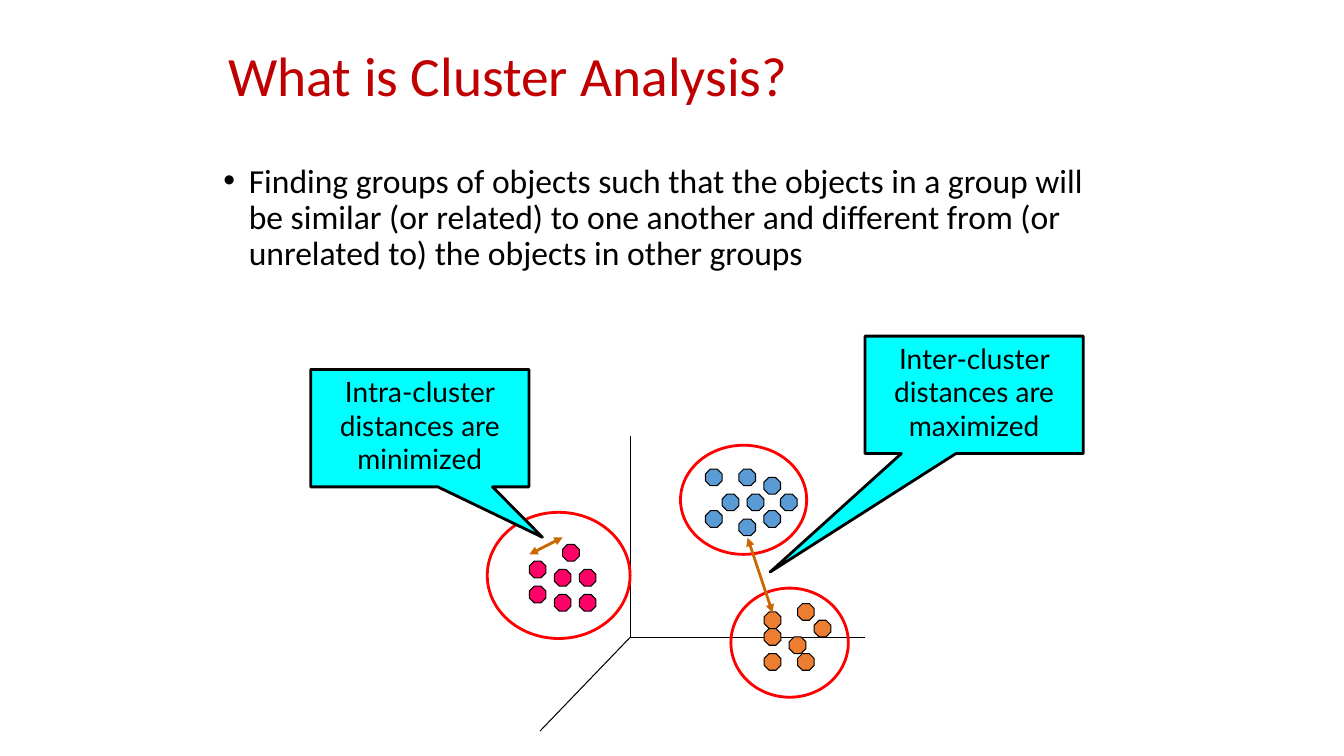
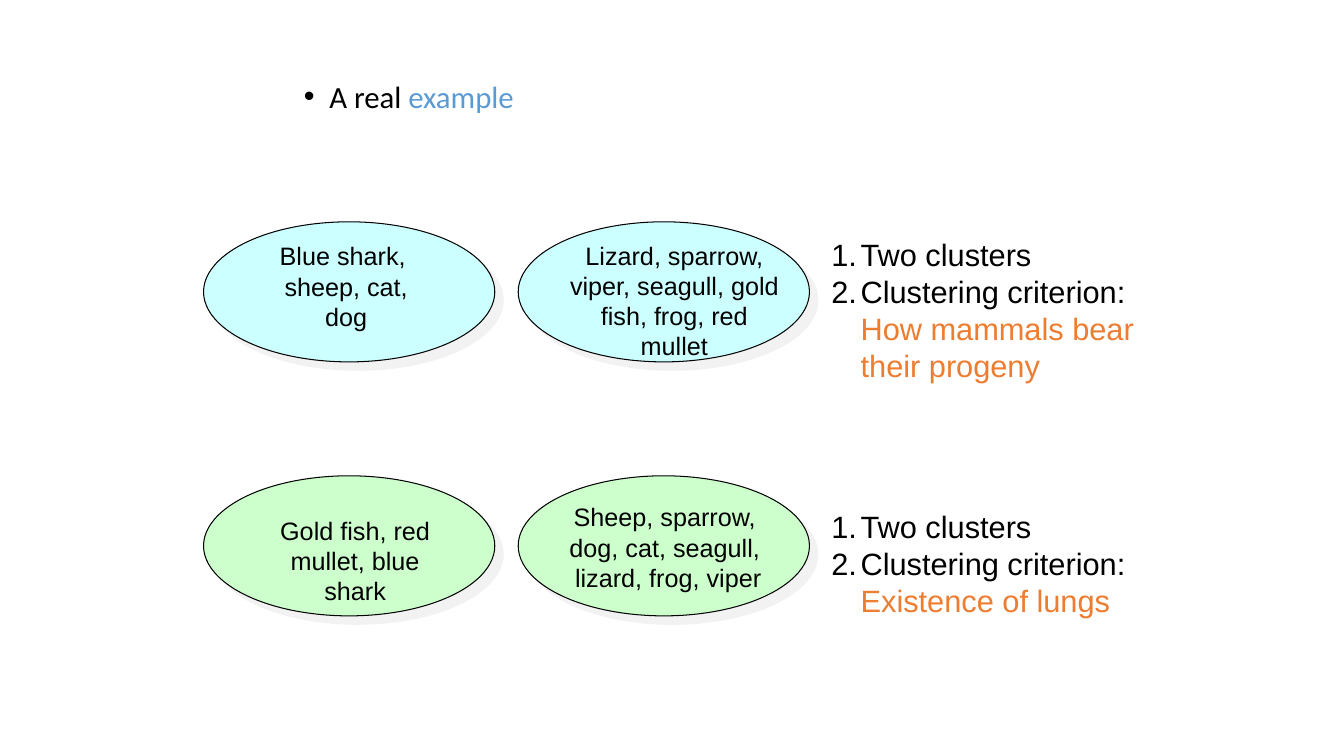
from lxml import etree
from pptx import Presentation
from pptx.dml.color import RGBColor
from pptx.enum.shapes import MSO_CONNECTOR, MSO_SHAPE
from pptx.enum.text import MSO_ANCHOR, PP_ALIGN
from pptx.oxml.ns import qn
from pptx.util import Cm, Pt

OCTAGON, ELLIPSE = MSO_SHAPE.OCTAGON, MSO_SHAPE.OVAL
CALLOUT = MSO_SHAPE.RECTANGULAR_CALLOUT
STRAIGHT = MSO_CONNECTOR.STRAIGHT
TOP, MIDDLE = MSO_ANCHOR.TOP, MSO_ANCHOR.MIDDLE
LEFT, CENTER = PP_ALIGN.LEFT, PP_ALIGN.CENTER

COLORS = {
    "title": "C00000", "text": "000000", "blue": "5B9BD5", "pink": "FF0066",
    "orange": "ED7D31", "ring": "FF0000", "arrow": "CC6600", "callout": "00FFFF",
    "cyan": "CCFFFF", "green": "CCFFCC", "shadow": "E7E6E6",
}
STYLES = {
    "title": {"name": "Calibri", "size": Pt(39.6)},
    "body": {"name": "Calibri", "size": Pt(24)},
    "subpoint": {"name": "Calibri", "size": Pt(22)},
    "callout": {"name": "Lato", "size": Pt(20)},
    "members": {"name": "Arial", "size": Pt(18)},
    "criteria": {"name": "Arial", "size": Pt(22)},
}
TIGHT = {"line_spacing": 0.9}
BULLET = ("buChar", {"char": "•"})
NUMBER = ("buAutoNum", {"type": "arabicPeriod"})

STEP = 0.21      # grid on which the dots of a cluster lie
DOT = 2 * STEP
CLUSTERS = [     # colour, grid origin, dots in grid steps, ring box
    ("blue", (17.78, 11.82),
     [(2, 3), (5, 3), (4, 0), (4, 6), (9, 3), (7, 1), (0, 0), (7, 5), (0, 5)],
     (17.15, 11.22, 3.18, 2.75)),
    ("pink", (13.34, 13.72),
     [(0, 2), (3, 3), (3, 6), (6, 3), (4, 0), (6, 6), (0, 5)],
     (12.28, 12.91, 3.6, 3.18)),
    ("orange", (19.26, 15.21),
     [(0, 1), (6, 2), (3, 4), (0, 6), (4, 6), (0, 3), (4, 0)],
     (18.42, 14.82, 2.96, 2.75)),
]
ORIGIN = (15.88, 16.06)
AXIS_ENDS = [(15.88, 10.98), (21.8, 16.06), (13.61, 18.42)]
ARROWS = [((19.47, 15.44), (18.84, 13.55)), ((13.34, 13.97), (14.18, 13.54))]
CALLOUTS = [     # text, left, top, tip of the tail
    ("Inter-cluster distances are maximized", 21.8, 8.47, (-0.935, 1.509)),
    ("Intra-cluster distances are minimized", 7.83, 9.31, (0.562, 0.929)),
]
ELLIPSE_LEFTS = (5.13, 13.06)
GROUPINGS = [    # colour, ellipse top, members with boxes, criterion, list top
    ("cyan", 5.59,
     [(["Blue shark, ", "sheep, cat,", "dog"], (6.78, 5.94, 3.89, 2.57)),
      (["Lizard, sparrow, viper, seagull, gold fish, frog, red mullet"],
       (14, 5.92, 5.99, 3.3))],
     "How mammals bear\ntheir progeny", 5.82),
    ("green", 11.99,
     [(["Gold fish, red mullet, blue shark"], (6.6, 12.85, 4.7, 2.54)),
      (["Sheep, sparrow, \ndog, cat, seagull, \nlizard, frog, viper"],
       (14.07, 12.52, 5.54, 2.54))],
     "Existence of lungs", 12.67),
]


def rgb(name):
    return RGBColor.from_string(COLORS[name])


def cm(values):
    return [Cm(v) for v in values]


def sub(parent, tag, **attrs):
    return etree.SubElement(parent, qn(f"a:{tag}"), attrs)


def set_line(sp, color, width):
    sp.line.color.rgb = rgb(color)
    sp.line.width = Pt(width)


def add_bullet(p, bullet, margin, hang):
    pPr = p._p.get_or_add_pPr()
    pPr.set("marL", str(Cm(margin)))
    pPr.set("indent", str(-Cm(hang)))
    tag, attrs = bullet
    if bullet is BULLET:
        sub(pPr, "buFont", typeface="Arial")
    sub(pPr, tag, **attrs)


def add_run(p, text, style, color):
    """Add text to a paragraph, with a line break at each newline."""
    for i, line in enumerate(text.split("\n")):
        if i:
            p.add_line_break()
        if line:
            r = p.add_run()
            r.text = line
            for key, value in STYLES[style].items():
                setattr(r.font, key, value)
            r.font.color.rgb = rgb(color)


def fill_text(tf, paragraphs, style, align=LEFT, anchor=TOP, spacing=None, bullet=None):
    """Write paragraphs, each a list of (text, colour) runs."""
    tf.word_wrap = True
    tf.vertical_anchor = anchor
    for i, runs in enumerate(paragraphs):
        p = tf.add_paragraph() if i else tf.paragraphs[0]
        p.alignment = align
        for key, value in (spacing or {}).items():
            setattr(p, key, value)
        if bullet:
            add_bullet(p, *bullet)
        for text, color in runs:
            add_run(p, text, style, color)


def add_text(s, box, paragraphs, style, **layout):
    tf = s.shapes.add_textbox(*cm(box)).text_frame
    fill_text(tf, paragraphs, style, **layout)


def add_shape(s, kind, box, fill=None, line="text", width=0.75):
    sp = s.shapes.add_shape(kind, *cm(box))
    sp.shadow.inherit = False
    if fill:
        sp.fill.solid()
        sp.fill.fore_color.rgb = rgb(fill)
    else:
        sp.fill.background()
    set_line(sp, line, width)
    return sp


def add_line(s, start, end, color="text", width=0.75, arrows=False):
    sp = s.shapes.add_connector(STRAIGHT, *cm(start + end))
    set_line(sp, color, width)
    if arrows:
        for tag in ("headEnd", "tailEnd"):
            sub(sp.line._get_or_add_ln(), tag, type="triangle")
    sub(sp._element.spPr, "effectLst")


def add_callout(s, text, left, top, tip):
    sp = add_shape(s, CALLOUT, (left, top, 5.5, 2.96), "callout", width=2)
    for i, value in enumerate(tip):
        sp.adjustments[i] = value
    fill_text(sp.text_frame, [[(text, "text")]], "callout", align=CENTER)


def add_cluster(s, color, origin, dots, ring):
    x, y = origin
    for col, row in dots:
        add_shape(s, OCTAGON, (x + col * STEP, y + row * STEP, DOT, DOT), color)
    add_shape(s, ELLIPSE, ring, line="ring", width=2)


def add_shadow(sp):
    effects = sp._element.spPr.find(qn("a:effectLst"))
    shadow = sub(effects, "outerShdw", dist=str(Pt(8.5)), dir="2700000",
                 algn="ctr", rotWithShape="0")
    sub(sub(shadow, "srgbClr", val=COLORS["shadow"]), "alpha", val="50000")


def add_grouping(s, color, top, members, criterion, list_top):
    """Add one row: two ellipses with their members, and the criterion."""
    for left in ELLIPSE_LEFTS:
        add_shadow(add_shape(s, ELLIPSE, (left, top, 7.34, 3.53), color))
    for lines, box in members:
        add_text(s, box, [[(line, "text")] for line in lines], "members", align=CENTER)
    items = [[("Two clusters", "text")],
             [("Clustering criterion:\n", "text"), (criterion, "orange")]]
    add_text(s, (20.7, list_top, 8.4, 4), items, "criteria", bullet=(NUMBER, 0.74, 0.74))


def build_definition(s):
    add_text(s, (5.51, 1.19, 22.86, 1.57), [[("What is Cluster Analysis?", "title")]],
             "title", anchor=MIDDLE, spacing=TIGHT)
    definition = ("Finding groups of objects such that the objects in a group will be "
                  "similar (or related) to one another and different from (or unrelated "
                  "to) the objects in other groups")
    add_text(s, (5.38, 4.01, 23.11, 3.61), [[(definition, "text")]], "body",
             spacing=TIGHT, bullet=(BULLET, 0.64, 0.64))
    for end in AXIS_ENDS:
        add_line(s, ORIGIN, end)
    for cluster in CLUSTERS:
        add_cluster(s, *cluster)
    for start, end in ARROWS:
        add_line(s, start, end, "arrow", 2, arrows=True)
    for callout in CALLOUTS:
        add_callout(s, *callout)


def build_example(s):
    add_text(s, (6.15, 1.93, 21.59, 2.01), [[("A real ", "text"), ("example", "blue")]],
             "subpoint", spacing=TIGHT, bullet=(BULLET, 1.9, 0.64))
    for grouping in GROUPINGS:
        add_grouping(s, *grouping)


def main():
    prs = Presentation()
    prs.slide_width, prs.slide_height = Cm(33.87), Cm(19.05)
    for build in (build_definition, build_example):
        build(prs.slides.add_slide(prs.slide_layouts[6]))
    prs.save("out.pptx")


if __name__ == "__main__":
    main()
